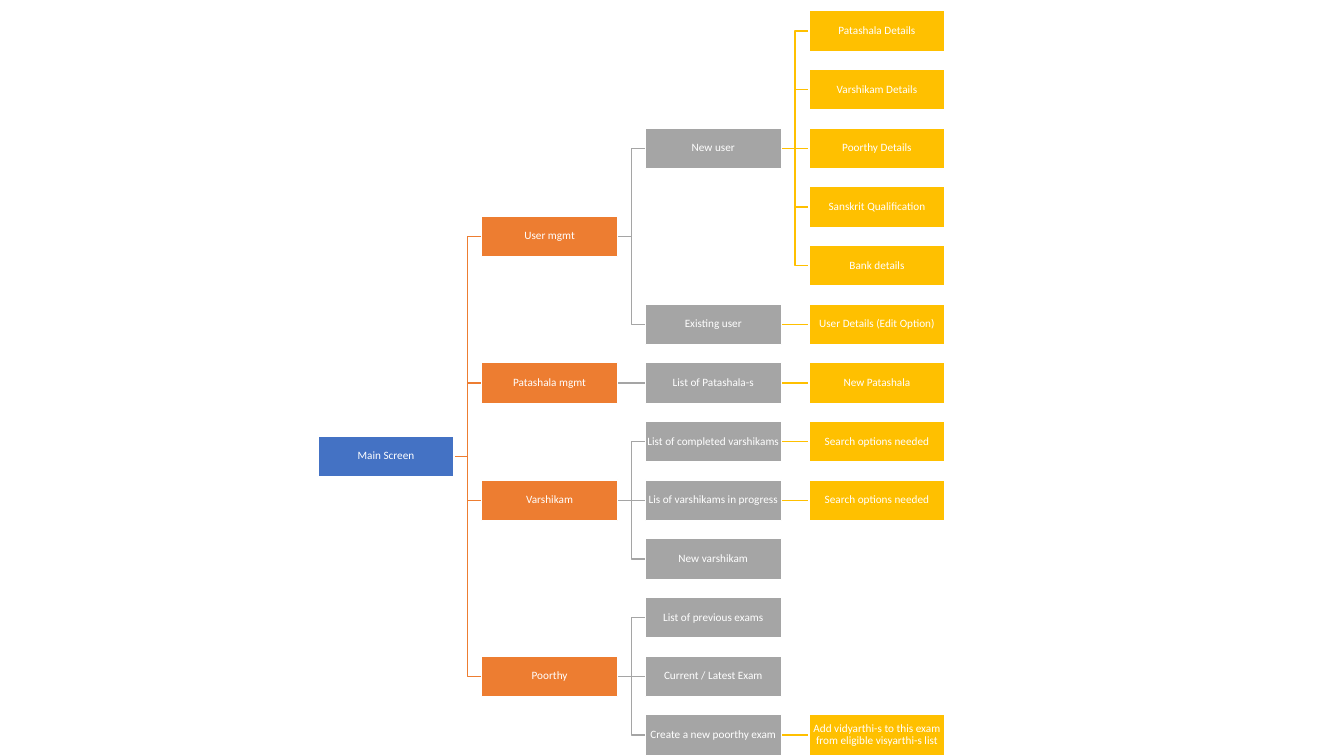
from itertools import count

from lxml.etree import SubElement
from pptx import Presentation
from pptx.dml.color import RGBColor
from pptx.enum.shapes import MSO_CONNECTOR, MSO_SHAPE
from pptx.enum.text import MSO_ANCHOR, PP_ALIGN
from pptx.oxml.ns import qn
from pptx.util import Pt

# Lengths in px, 100.8 px to the inch
SLIDE_WIDTH, SLIDE_HEIGHT = 1344, 756
BOX_WIDTH, BOX_HEIGHT = 136, 41
FIRST_LEFT, LAST_LEFT = 318, 809
FIRST_MIDDLE, LAST_MIDDLE = 31, 735
LAST_LEVEL, LAST_ROW = 3, 12

LEVEL_COLORS = ["4472C4", "ED7D31", "A5A5A5", "FFC000"]
WHITE = "FFFFFF"
RIGHT_SITE, LEFT_SITE = 3, 1

# Each screen is a label with the screens that open from it
SCREENS = ("Main Screen", [
    ("User mgmt", [
        ("New user", [
            ("Patashala Details", []),
            ("Varshikam Details", []),
            ("Poorthy Details", []),
            ("Sanskrit Qualification", []),
            ("Bank details", []),
        ]),
        ("Existing user", [("User Details (Edit Option)", [])]),
    ]),
    ("Patashala mgmt", [
        ("List of Patashala-s", [("New Patashala", [])]),
    ]),
    ("Varshikam", [
        ("List of completed varshikams", [("Search options needed", [])]),
        ("Lis of varshikams in progress", [("Search options needed", [])]),
        ("New varshikam", []),
    ]),
    ("Poorthy", [
        ("List of previous exams", []),
        ("Current / Latest Exam", []),
        ("Create a new poorthy exam", [
            ("Add vidyarthi-s to this exam from eligible visyarthi-s list", []),
        ]),
    ]),
])


def px(length):
    return round(length * 914400 / 100.8)


def rgb(color):
    return RGBColor.from_string(color)


def write_text(box, text, font="Calibri", size=8, color=WHITE, margin=1):
    frame = box.text_frame
    frame.word_wrap = True
    frame.vertical_anchor = MSO_ANCHOR.MIDDLE
    frame.margin_left = frame.margin_right = px(margin)
    frame.margin_top = frame.margin_bottom = px(margin)
    paragraph = frame.paragraphs[0]
    paragraph.alignment = PP_ALIGN.CENTER
    paragraph.line_spacing = 0.9
    paragraph.space_after = Pt(size * 0.35)
    run = paragraph.add_run()
    run.text = text
    run.font.name = font
    run.font.size = Pt(size)
    run.font.color.rgb = rgb(color)


def add_box(slide, label, level, row):
    left = FIRST_LEFT + level * (LAST_LEFT - FIRST_LEFT) / LAST_LEVEL
    middle = FIRST_MIDDLE + row * (LAST_MIDDLE - FIRST_MIDDLE) / LAST_ROW
    box = slide.shapes.add_shape(
        MSO_SHAPE.RECTANGLE, px(left), px(middle - BOX_HEIGHT / 2),
        px(BOX_WIDTH), px(BOX_HEIGHT))
    box.shadow.inherit = False
    box.fill.solid()
    box.fill.fore_color.rgb = rgb(LEVEL_COLORS[level])
    box.line.color.rgb = rgb(WHITE)
    box.line.width = Pt(1)
    write_text(box, label)
    return box


def add_branch(slide, parent, child, color):
    kind = MSO_CONNECTOR.STRAIGHT if parent.top == child.top else MSO_CONNECTOR.ELBOW
    branch = slide.shapes.add_connector(kind, 0, 0, 0, 0)
    branch.begin_connect(parent, RIGHT_SITE)
    branch.end_connect(child, LEFT_SITE)
    branch.line.color.rgb = rgb(color)
    branch.line.width = Pt(1)
    SubElement(branch._element.spPr, qn("a:effectLst"))
    # Branches lie behind the boxes
    slide.shapes._spTree.insert(2, branch._element)


def add_screen(slide, screen, leaf_rows, level=0):
    """Draw a screen and all below it; return its box and its row."""
    label, children = screen
    placed = [add_screen(slide, child, leaf_rows, level + 1) for child in children]
    # A parent sits halfway between its first and last child
    row = (placed[0][1] + placed[-1][1]) / 2 if placed else next(leaf_rows)
    box = add_box(slide, label, level, row)
    for child_box, _ in placed:
        add_branch(slide, box, child_box, LEVEL_COLORS[level + 1])
    return box, row


def main():
    deck = Presentation()
    deck.slide_width, deck.slide_height = px(SLIDE_WIDTH), px(SLIDE_HEIGHT)
    slide = deck.slides.add_slide(deck.slide_layouts[6])
    add_screen(slide, SCREENS, count())
    deck.save("out.pptx")


if __name__ == "__main__":
    main()
